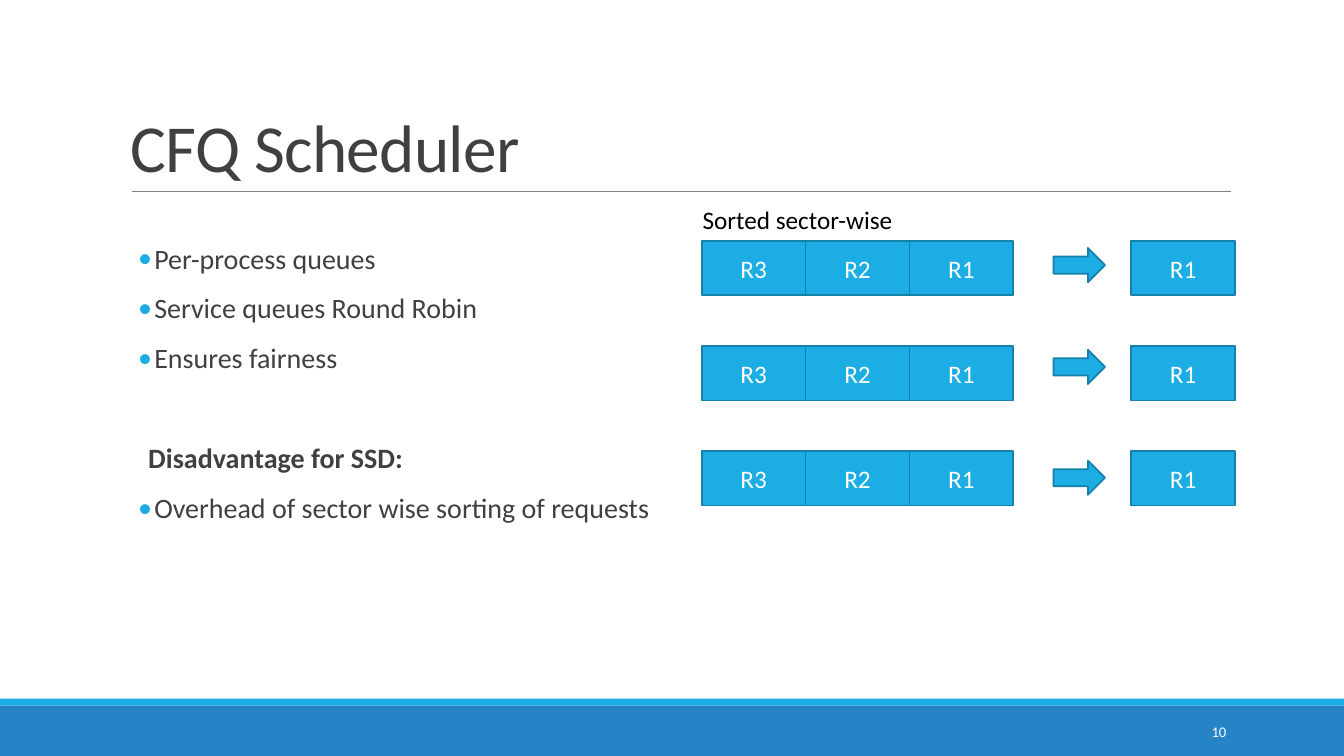
import dataclasses

import lxml.etree
import pptx
import pptx.dml.color
import pptx.enum.shapes
import pptx.enum.text
import pptx.oxml.ns
import pptx.util

WIDTH, HEIGHT = 13.33, 7.5
COLOURS = {
    "accent": "1CADE4", "outline": "1580A9", "footer": "2683C6",
    "rule": "808080", "heading": "404040", "label": "000000", "light": "FFFFFF",
}
SHAPES = pptx.enum.shapes.MSO_SHAPE
ALIGN = pptx.enum.text.PP_ALIGN
ANCHOR = pptx.enum.text.MSO_ANCHOR

# Request grid, in percent of the slide
QUEUE_LEFT, QUEUE_TOP = 52.21, 31.87
REQUEST_WIDTH, REQUEST_HEIGHT = 7.73, 7.2
ROW_PITCH = 13.9
SERVED_LEFT = 84.17
ARROW_LEFT, ARROW_TOPS = 78.39, (32.8, 46.27, 60.93)


@dataclasses.dataclass(frozen=True)
class Area:
    """Left, top, width and height in percent of the slide."""
    left: float
    top: float
    width: float
    height: float

    def emu(self) -> tuple:
        return (across(self.left), down(self.top), across(self.width), down(self.height))


@dataclasses.dataclass(frozen=True)
class Point:
    text: str
    bulleted: bool = True
    space_before: float = 12


@dataclasses.dataclass(frozen=True)
class Caption:
    text: str
    area: Area
    size: float
    colour: str
    anchor: object = ANCHOR.TOP
    align: object = ALIGN.LEFT
    tracking: int = 0
    line_spacing: float = 1.0


POINTS = (
    Point("Per-process queues", space_before=0),
    Point("Service queues Round Robin"),
    Point("Ensures fairness"),
    Point("Disadvantage for SSD:", bulleted=False, space_before=48),
    Point("Overhead of sector wise sorting of requests"),
)
CAPTIONS = (
    Caption("CFQ Scheduler", Area(9, 4.13, 82.52, 21.2), 48, "heading",
            anchor=ANCHOR.BOTTOM, tracking=-50, line_spacing=0.85),
    Caption("Sorted sector-wise", Area(51.54, 26.4, 22.5, 5.33), 18, "label"),
    Caption("10", Area(81.25, 94.13, 10.73, 5.33), 10.5, "light",
            anchor=ANCHOR.MIDDLE, align=ALIGN.RIGHT),
)


def across(percent: float) -> int:
    return pptx.util.Inches(WIDTH * percent / 100)


def down(percent: float) -> int:
    return pptx.util.Inches(HEIGHT * percent / 100)


def rgb(name: str) -> pptx.dml.color.RGBColor:
    return pptx.dml.color.RGBColor.from_string(COLOURS[name])


def apply(target, formats: dict) -> None:
    for attribute, value in formats.items():
        setattr(target, attribute, value)


def style_font(font, size: float, colour: str, bold: bool = False) -> None:
    apply(font, {"name": "Calibri", "size": pptx.util.Pt(size), "bold": bold})
    font.color.rgb = rgb(colour)


def add_block(slide, kind, area: Area, fill: str, outline: str = "", text: str = "") -> None:
    block = slide.shapes.add_shape(kind, *area.emu())
    block.shadow.inherit = False
    block.fill.solid()
    block.fill.fore_color.rgb = rgb(fill)
    if outline:
        block.line.color.rgb = rgb(outline)
        block.line.width = pptx.util.Pt(1.25)
    else:
        block.line.fill.background()
    if text:
        block.text_frame.vertical_anchor = ANCHOR.MIDDLE
        paragraph = block.text_frame.paragraphs[0]
        paragraph.text = text
        paragraph.alignment = ALIGN.CENTER
        style_font(paragraph.runs[0].font, 18, "light")


def add_caption(slide, caption: Caption) -> None:
    frame = slide.shapes.add_textbox(*caption.area.emu()).text_frame
    apply(frame, {"word_wrap": True, "vertical_anchor": caption.anchor})
    paragraph = frame.paragraphs[0]
    apply(paragraph, {"text": caption.text, "alignment": caption.align,
                      "line_spacing": caption.line_spacing})
    run = paragraph.runs[0]
    style_font(run.font, caption.size, caption.colour)
    if caption.tracking:
        run._r.get_or_add_rPr().set("spc", str(caption.tracking))


def add_bullet(properties) -> None:
    qn = pptx.oxml.ns.qn
    tint = lxml.etree.SubElement(properties, qn("a:buClr"))
    lxml.etree.SubElement(tint, qn("a:srgbClr")).set("val", COLOURS["accent"])
    lxml.etree.SubElement(properties, qn("a:buFont")).set("typeface", "Calibri")
    lxml.etree.SubElement(properties, qn("a:buChar")).set("char", "•")


def add_points(slide, area: Area) -> None:
    frame = slide.shapes.add_textbox(*area.emu()).text_frame
    apply(frame, {"word_wrap": True, "margin_left": 0, "margin_right": 0})
    for index, point in enumerate(POINTS):
        paragraph = frame.add_paragraph() if index else frame.paragraphs[0]
        apply(paragraph, {"text": point.text, "line_spacing": 0.9,
                          "space_before": pptx.util.Pt(point.space_before),
                          "space_after": pptx.util.Pt(2)})
        properties = paragraph._p.get_or_add_pPr()
        indent = pptx.util.Inches(0.16 if point.bulleted else 0.1)
        properties.set("marL", str(indent))
        properties.set("indent", str(-indent if point.bulleted else 0))
        if point.bulleted:
            add_bullet(properties)
        style_font(paragraph.runs[0].font, 20, "heading", bold=not point.bulleted)


def add_title_rule(slide, left: float, right: float, top: float) -> None:
    rule = slide.shapes.add_connector(
        pptx.enum.shapes.MSO_CONNECTOR.STRAIGHT,
        across(left), down(top), across(right), down(top))
    rule.line.color.rgb = rgb("rule")
    rule.line.width = pptx.util.Pt(0.5)
    lxml.etree.SubElement(rule._element.spPr, pptx.oxml.ns.qn("a:effectLst"))


def add_queues(slide) -> None:
    requests = [(QUEUE_LEFT + column * REQUEST_WIDTH, name)
                for column, name in enumerate(("R3", "R2", "R1"))]
    requests.append((SERVED_LEFT, "R1"))
    for row, arrow_top in enumerate(ARROW_TOPS):
        top = QUEUE_TOP + row * ROW_PITCH
        for left, name in requests:
            area = Area(left, top, REQUEST_WIDTH, REQUEST_HEIGHT)
            add_block(slide, SHAPES.RECTANGLE, area, "accent", "outline", name)
        add_block(slide, SHAPES.RIGHT_ARROW, Area(ARROW_LEFT, arrow_top, 3.83, 4.53),
                  "accent", "outline")


def main() -> None:
    deck = pptx.Presentation()
    apply(deck, {"slide_width": pptx.util.Inches(WIDTH),
                 "slide_height": pptx.util.Inches(HEIGHT)})
    slide = deck.slides.add_slide(deck.slide_layouts[6])

    # Footer bands and title rule
    add_block(slide, SHAPES.RECTANGLE, Area(0, 93.33, 100, 6.67), "footer")
    add_block(slide, SHAPES.RECTANGLE, Area(0, 92.4, 100, 0.93), "accent")
    add_title_rule(slide, 9.83, 91.6, 25.33)

    # Points, queues and captions
    add_points(slide, Area(10.28, 31.73, 82.52, 58.67))
    add_queues(slide)
    for caption in CAPTIONS:
        add_caption(slide, caption)

    deck.save("out.pptx")


if __name__ == "__main__":
    main()
